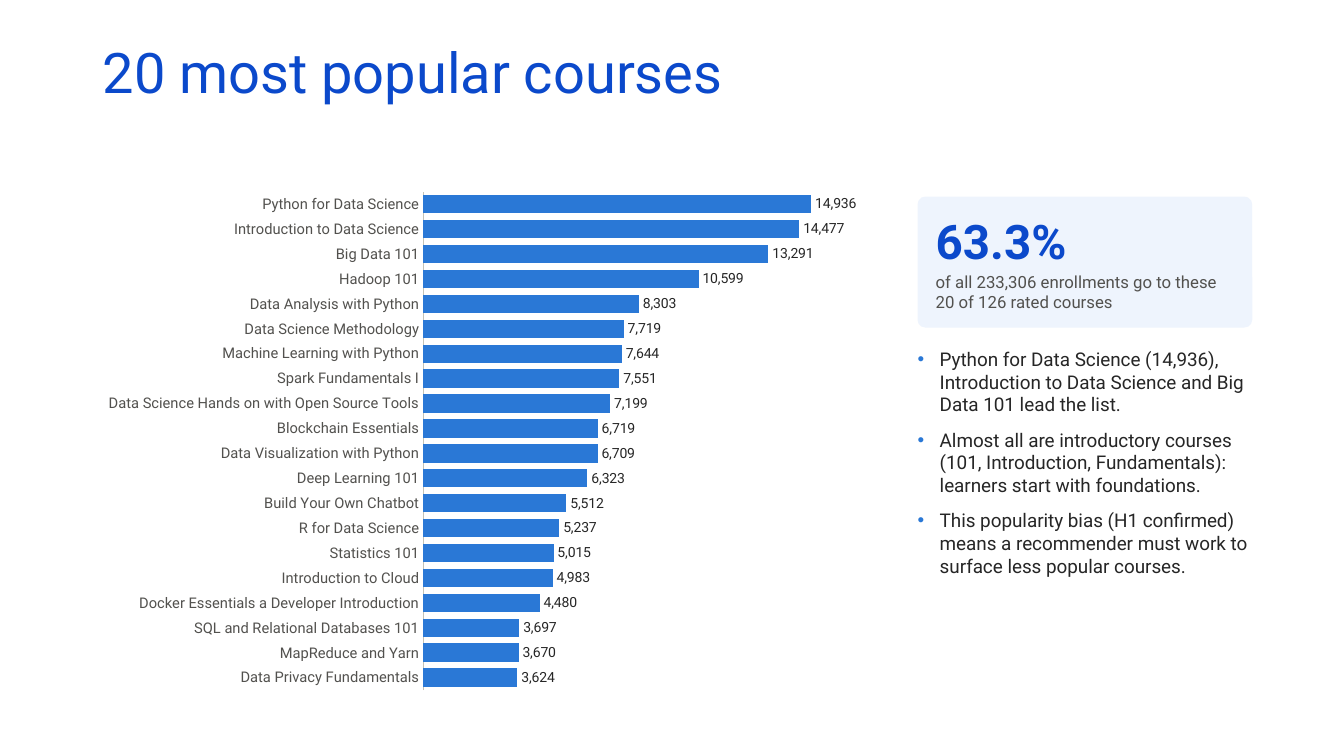
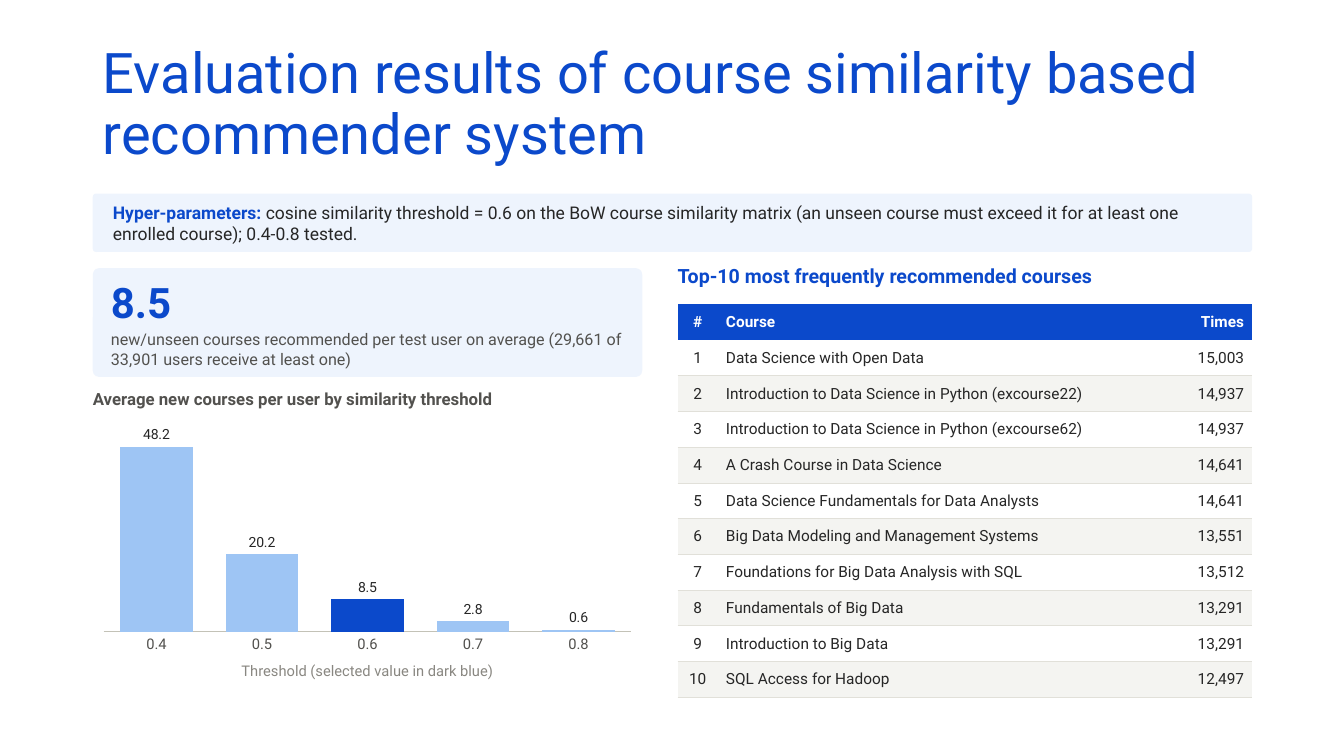
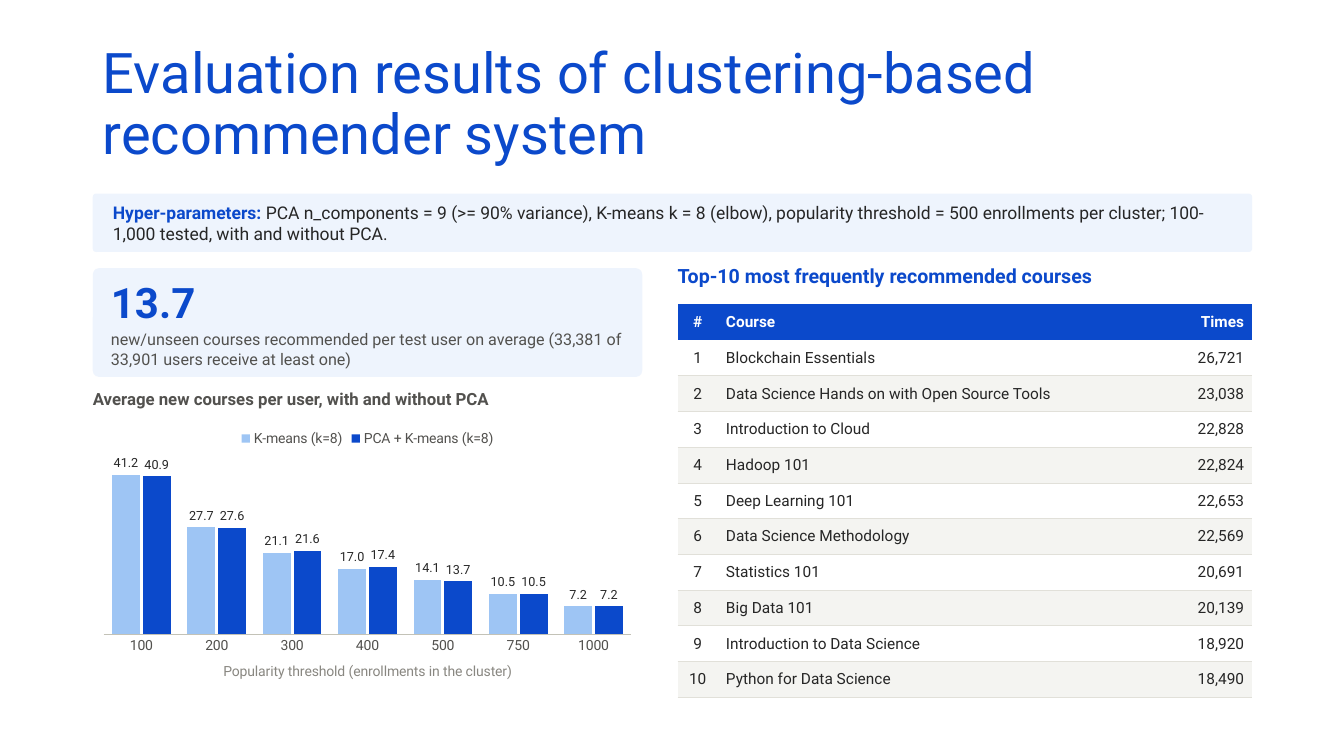
from dataclasses import dataclass

from lxml.etree import SubElement
from pptx import Presentation
from pptx.chart.data import CategoryChartData
from pptx.dml.color import RGBColor
from pptx.enum.chart import XL_CHART_TYPE, XL_LABEL_POSITION, XL_LEGEND_POSITION, XL_TICK_MARK
from pptx.enum.shapes import MSO_SHAPE
from pptx.enum.text import MSO_ANCHOR, MSO_AUTO_SIZE, PP_ALIGN
from pptx.oxml import parse_xml
from pptx.oxml.ns import nsdecls, qn
from pptx.util import Inches, Pt


@dataclass(frozen=True)
class Theme:
    font: str = "Roboto"
    accent: str = "0B49CB"
    bar: str = "2A78D6"
    pale_bar: str = "9EC5F4"
    panel: str = "EEF4FD"
    ink: str = "262626"
    soft_ink: str = "52514E"
    caption: str = "898781"
    axis: str = "C3C2B7"
    rule: str = "E1E0D9"
    white: str = "FFFFFF"
    stripe: str = "F4F4F1"
    title_size: float = 40
    heading_size: float = 14
    list_size: float = 13.5
    band_size: float = 12.5
    subheading_size: float = 12
    table_size: float = 11
    axis_size: float = 10.5
    label_size: float = 10


THEME = Theme()
LEFT, WIDTH = 0.92, 11.5
HALF = 5.45
NO_TABLE_STYLE = "{2D5ABB26-0587-4C30-8999-92F81FD0307C}"


def assign(target, **values):
    for name, value in values.items():
        setattr(target, name, value)


def inches(*lengths):
    return [Inches(length) for length in lengths]


class Deck:
    def __init__(self, theme):
        self.theme = theme
        self.presentation = Presentation()
        assign(self.presentation, slide_width=Inches(13.33), slide_height=Inches(7.5))
        self.slide = None

    def style(self, font, size, color, bold=False):
        assign(font, name=self.theme.font, size=Pt(size), bold=bold)
        font.color.rgb = RGBColor.from_string(color)

    def paint(self, fill, color):
        fill.solid()
        fill.fore_color.rgb = RGBColor.from_string(color)

    def add_text(self, paragraph, text, size, color, bold=False):
        run = paragraph.add_run()
        run.text = text
        self.style(run.font, size, color, bold)

    def place(self, shape, box):
        left, top, width, height = inches(*box)
        assign(shape, left=left, top=top, width=width, height=height)

    def frame(self, shape, anchor=MSO_ANCHOR.TOP):
        assign(shape.text_frame, word_wrap=True, vertical_anchor=anchor,
               auto_size=MSO_AUTO_SIZE.SHAPE_TO_FIT_TEXT,
               margin_left=0, margin_top=0, margin_right=0, margin_bottom=0)
        return shape.text_frame

    def new_slide(self, title, layout=5):
        layouts = self.presentation.slide_layouts
        self.slide = self.presentation.slides.add_slide(layouts[layout])
        heading = self.slide.shapes.title
        self.place(heading, (LEFT, 0.4, WIDTH, 1.45))
        assign(heading.text_frame, word_wrap=True, vertical_anchor=MSO_ANCHOR.TOP,
               auto_size=MSO_AUTO_SIZE.NONE)
        paragraph = heading.text_frame.paragraphs[0]
        assign(paragraph, alignment=PP_ALIGN.LEFT, line_spacing=0.9)
        self.add_text(paragraph, title, self.theme.title_size, self.theme.accent)

    def text_box(self, box, anchor=MSO_ANCHOR.TOP):
        return self.frame(self.slide.shapes.add_textbox(*inches(*box)), anchor)

    def heading(self, box, text, size, color):
        self.add_text(self.text_box(box).paragraphs[0], text, size, color, True)

    def panel(self, box):
        panel = self.slide.shapes.add_shape(MSO_SHAPE.ROUNDED_RECTANGLE, *inches(*box))
        panel.adjustments[0] = 0.06
        panel.shadow.inherit = False
        self.paint(panel.fill, self.theme.panel)
        panel.line.fill.background()

    def band(self, label, text):
        self.panel((LEFT, 1.92, WIDTH, 0.58))
        box = (LEFT + 0.2, 1.92, WIDTH - 0.4, 0.58)
        paragraph = self.text_box(box, MSO_ANCHOR.MIDDLE).paragraphs[0]
        self.add_text(paragraph, label + " ", self.theme.band_size, self.theme.accent, True)
        self.add_text(paragraph, text, self.theme.band_size, self.theme.ink)

    def stat_card(self, box, figure, note, figure_size, note_size):
        self.panel(box)
        left, top, width, height = box
        inner = (left + 0.18, top + 0.12, width - 0.36, height - 0.24)
        frame = self.text_box(inner, MSO_ANCHOR.MIDDLE)
        frame.paragraphs[0].space_after = Pt(2)
        self.add_text(frame.paragraphs[0], figure, figure_size, self.theme.accent, True)
        self.add_text(frame.add_paragraph(), note, note_size, self.theme.soft_ink)

    def bullets(self, box, items):
        body = self.slide.placeholders[1]
        self.place(body, box)
        frame = self.frame(body)
        for index, item in enumerate(items):
            paragraph = frame.add_paragraph() if index else frame.paragraphs[0]
            properties = paragraph._p.get_or_add_pPr()
            properties.set("marL", str(Inches(0.22)))
            properties.set("indent", str(-Inches(0.22)))
            color = SubElement(properties, qn("a:buClr"))
            SubElement(color, qn("a:srgbClr"), val=self.theme.bar)
            SubElement(properties, qn("a:buChar"), char="•")
            assign(paragraph, space_before=Pt(0), space_after=Pt(9))
            self.add_text(paragraph, item, self.theme.list_size, self.theme.ink)

    def bar_chart(self, box, categories, series, colors, gap, headroom, kind=XL_CHART_TYPE.COLUMN_CLUSTERED,
                  number_format="0.0", size=THEME.axis_size, label_size=THEME.label_size,
                  axis_title=None, highlight=None):
        theme = self.theme
        data = CategoryChartData()
        data.categories = categories
        for name, values in series.items():
            data.add_series(name, values)
        chart = self.slide.shapes.add_chart(kind, *inches(*box), data).chart
        several = len(series) > 1
        assign(chart, has_title=False, has_legend=several)
        self.style(chart.font, size, theme.soft_ink)
        if several:
            assign(chart.legend, position=XL_LEGEND_POSITION.TOP, include_in_layout=False)
            self.style(chart.legend.font, size, theme.soft_ink)

        peak = max(max(values) for values in series.values())
        assign(chart.value_axis, visible=False, has_major_gridlines=False,
               minimum_scale=0, maximum_scale=peak * headroom)
        axis = chart.category_axis
        assign(axis, major_tick_mark=XL_TICK_MARK.NONE, has_major_gridlines=False,
               reverse_order=kind == XL_CHART_TYPE.BAR_CLUSTERED)
        self.style(axis.tick_labels.font, size, theme.soft_ink)
        self.paint(axis.format.line.fill, theme.axis)
        axis.format.line.width = Pt(0.75)
        if axis_title:
            self.add_text(axis.axis_title.text_frame.paragraphs[0], axis_title, size, theme.caption)

        plot = chart.plots[0]
        assign(plot, gap_width=gap, overlap=-10 if several else 0, vary_by_categories=False)
        for bars, color in zip(plot.series, colors):
            self.paint(bars.format.fill, color)
            labels = bars.data_labels
            assign(labels, show_value=True, position=XL_LABEL_POSITION.OUTSIDE_END,
                   number_format=number_format, number_format_is_linked=False)
            self.style(labels.font, label_size, theme.ink)
        if highlight is not None:
            self.paint(plot.series[0].points[highlight].format.fill, theme.accent)

    def ranking_table(self, box, courses):
        theme = self.theme
        rows = [("#", "Course", "Times")]
        rows += [(str(rank), course, f"{times:,}") for rank, (course, times) in enumerate(courses, 1)]
        table = self.slide.shapes.add_table(len(rows), 3, *inches(*box)).table
        assign(table, first_row=False, horz_banding=False)
        table._tbl.tblPr.find(qn("a:tableStyleId")).text = NO_TABLE_STYLE
        for column, width in zip(table.columns, (0.4, 4.35, 0.95)):
            column.width = Inches(width)
        alignments = (PP_ALIGN.CENTER, PP_ALIGN.LEFT, PP_ALIGN.RIGHT)
        for row_index, row in enumerate(rows):
            header = row_index == 0
            fill = theme.accent if header else (theme.stripe, theme.white)[row_index % 2]
            table.rows[row_index].height = Inches(box[3] / len(rows))
            for column_index, text in enumerate(row):
                cell = table.cell(row_index, column_index)
                assign(cell, vertical_anchor=MSO_ANCHOR.MIDDLE,
                       margin_left=Inches(0.08), margin_right=Inches(0.08),
                       margin_top=Inches(0.02), margin_bottom=Inches(0.02))
                self.paint(cell.fill, fill)
                if not header:
                    self.rule_below(cell)
                paragraph = cell.text_frame.paragraphs[0]
                paragraph.alignment = alignments[column_index]
                self.add_text(paragraph, text, theme.table_size, theme.white if header else theme.ink, header)

    def rule_below(self, cell):
        cell._tc.get_or_add_tcPr().insert(0, parse_xml(
            f'<a:lnB {nsdecls("a")} w="{Pt(0.75)}"><a:solidFill>'
            f'<a:srgbClr val="{self.theme.rule}"/></a:solidFill></a:lnB>'))

    def evaluation(self, title, parameters, average, receivers, chart_heading, courses, **chart):
        theme = self.theme
        self.new_slide(title)
        self.band("Hyper-parameters:", parameters)
        note = ("new/unseen courses recommended per test user on average "
                f"({receivers} of 33,901 users receive at least one)")
        self.stat_card((LEFT, 2.66, HALF, 1.08), average, note, 30, 11.5)
        self.heading((LEFT, 3.86, HALF, 0.32), chart_heading, theme.subheading_size, theme.soft_ink)
        self.bar_chart((LEFT, 4.16, HALF, 2.79), headroom=1.12, **chart)
        self.heading((6.72, 2.62, 5.7, 0.35), "Top-10 most frequently recommended courses",
                     theme.heading_size, theme.accent)
        self.ranking_table((6.72, 3.02, 5.7, 3.9), courses)


def popular_courses(deck):
    enrollments = {
        "Python for Data Science": 14936,
        "Introduction to Data Science": 14477,
        "Big Data 101": 13291,
        "Hadoop 101": 10599,
        "Data Analysis with Python": 8303,
        "Data Science Methodology": 7719,
        "Machine Learning with Python": 7644,
        "Spark Fundamentals I": 7551,
        "Data Science Hands on with Open Source Tools": 7199,
        "Blockchain Essentials": 6719,
        "Data Visualization with Python": 6709,
        "Deep Learning 101": 6323,
        "Build Your Own Chatbot": 5512,
        "R for Data Science": 5237,
        "Statistics 101": 5015,
        "Introduction to Cloud": 4983,
        "Docker Essentials a Developer Introduction": 4480,
        "SQL and Relational Databases 101": 3697,
        "MapReduce and Yarn": 3670,
        "Data Privacy Fundamentals": 3624,
    }
    deck.new_slide("20 most popular courses", layout=1)
    deck.bar_chart((LEFT, 1.8, 7.9, 5.15), list(enrollments), {"Enrollments": list(enrollments.values())},
                   [THEME.bar], gap=35, headroom=1.16, kind=XL_CHART_TYPE.BAR_CLUSTERED,
                   number_format="#,##0")
    deck.stat_card((9.1, 1.95, 3.32, 1.3), "63.3%",
                   "of all 233,306 enrollments go to these 20 of 126 rated courses", 34, 12)
    deck.bullets((9.1, 3.45, 3.32, 3.5), [
        "Python for Data Science (14,936), Introduction to Data Science and Big Data 101 lead the list.",
        "Almost all are introductory courses (101, Introduction, Fundamentals): "
        "learners start with foundations.",
        "This popularity bias (H1 confirmed) means a recommender must work to surface less popular courses.",
    ])


def similarity_results(deck):
    deck.evaluation(
        "Evaluation results of course similarity based recommender system",
        "cosine similarity threshold = 0.6 on the BoW course similarity matrix "
        "(an unseen course must exceed it for at least one enrolled course); 0.4-0.8 tested.",
        "8.5", "29,661", "Average new courses per user by similarity threshold",
        [
            ("Data Science with Open Data", 15003),
            ("Introduction to Data Science in Python (excourse22)", 14937),
            ("Introduction to Data Science in Python (excourse62)", 14937),
            ("A Crash Course in Data Science", 14641),
            ("Data Science Fundamentals for Data Analysts", 14641),
            ("Big Data Modeling and Management Systems", 13551),
            ("Foundations for Big Data Analysis with SQL", 13512),
            ("Fundamentals of Big Data", 13291),
            ("Introduction to Big Data", 13291),
            ("SQL Access for Hadoop", 12497),
        ],
        categories=["0.4", "0.5", "0.6", "0.7", "0.8"],
        series={"Average new courses": [48.2, 20.2, 8.5, 2.8, 0.6]},
        colors=[THEME.pale_bar], gap=45, highlight=2,
        axis_title="Threshold (selected value in dark blue)")


def clustering_results(deck):
    deck.evaluation(
        "Evaluation results of clustering-based recommender system",
        "PCA n_components = 9 (>= 90% variance), K-means k = 8 (elbow), popularity threshold = 500 "
        "enrollments per cluster; 100-1,000 tested, with and without PCA.",
        "13.7", "33,381", "Average new courses per user, with and without PCA",
        [
            ("Blockchain Essentials", 26721),
            ("Data Science Hands on with Open Source Tools", 23038),
            ("Introduction to Cloud", 22828),
            ("Hadoop 101", 22824),
            ("Deep Learning 101", 22653),
            ("Data Science Methodology", 22569),
            ("Statistics 101", 20691),
            ("Big Data 101", 20139),
            ("Introduction to Data Science", 18920),
            ("Python for Data Science", 18490),
        ],
        categories=["100", "200", "300", "400", "500", "750", "1000"],
        series={"K-means (k=8)": [41.2, 27.7, 21.1, 17, 14.1, 10.5, 7.2],
                "PCA + K-means (k=8)": [40.9, 27.6, 21.6, 17.4, 13.7, 10.5, 7.2]},
        colors=[THEME.pale_bar, THEME.accent], gap=60, size=10, label_size=9,
        axis_title="Popularity threshold (enrollments in the cluster)")


def main():
    deck = Deck(THEME)
    for build in (popular_courses, similarity_results, clustering_results):
        build(deck)
    deck.presentation.save("out.pptx")


if __name__ == "__main__":
    main()
